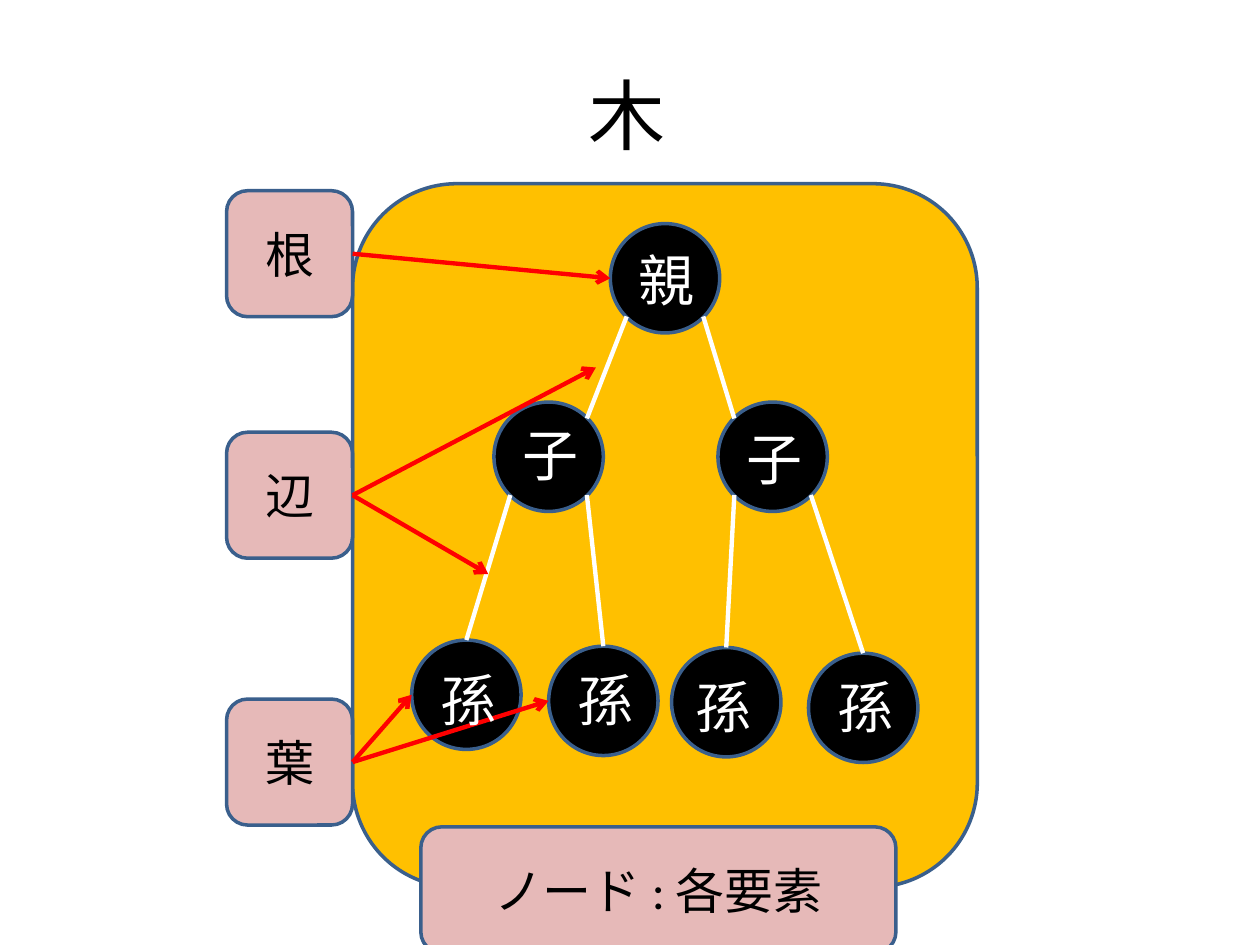
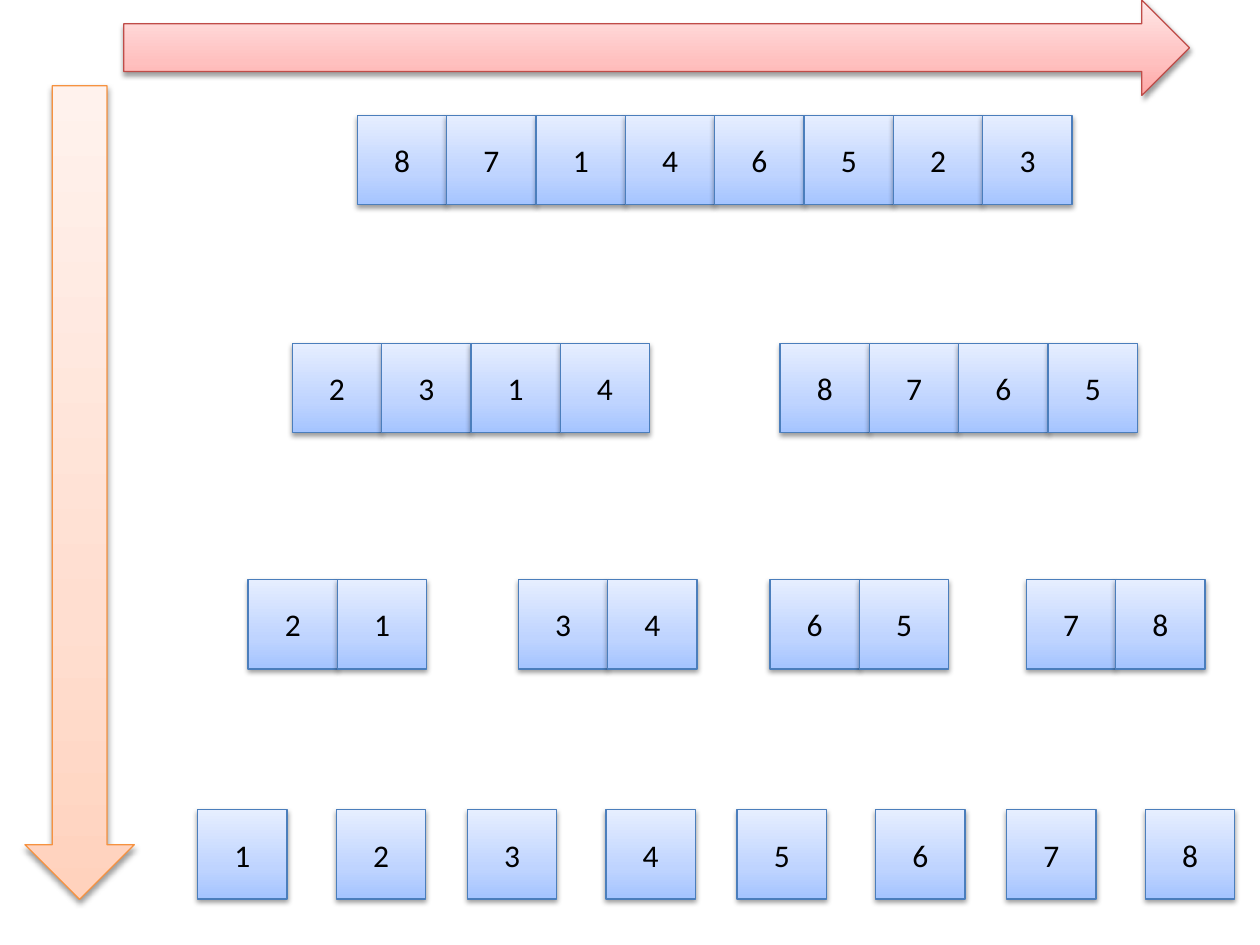
"""Build two slides: the parts of a tree, and a quicksort splitting a list."""
import pptx
import pptx.dml.color
import pptx.enum.shapes
import pptx.enum.text
import pptx.oxml
import pptx.oxml.ns
import pptx.util
from lxml import etree

Pt = pptx.util.Pt
rgb = pptx.dml.color.RGBColor.from_string
qn = pptx.oxml.ns.qn
MSO = pptx.enum.shapes.MSO_SHAPE
ALIGN = pptx.enum.text.PP_ALIGN
ANCHOR = pptx.enum.text.MSO_ANCHOR

BLACK, WHITE, RED, GOLD, PINK, NAVY = "000000", "FFFFFF", "FF0000", "FFC000", "E6B9B8", "3A5F8C"
BLUES = ("A4C4FF", "BFD4FF", "E6EEFF")
ORANGES = ("FFD2BD", "FFDED0", "FFF2ED")
REDS = ("FFA6A5", "FFC0BF", "FFE7E7")
CENTRED = {"align": ALIGN.CENTER, "anchor": ANCHOR.MIDDLE}
TOP_LEFT = {"align": ALIGN.LEFT, "anchor": ANCHOR.TOP}


def add_box(shapes, kind, at, fill=None, line=NAVY, width=2, text="", size=18, color=BLACK, place=CENTRED):
    """Add a preset shape, or a text box if kind is None; three fill colours make a shadowed gradient."""
    at = [Pt(v) for v in at]
    if kind is None:
        sp = shapes.add_textbox(*at)
    else:
        sp = shapes.add_shape(kind, *at)
        sp.shadow.inherit = False
        sp.line.color.rgb = rgb(line)
        sp.line.width = Pt(width)
        spPr = sp._element.spPr
        if isinstance(fill, str):
            sp.fill.solid()
            sp.fill.fore_color.rgb = rgb(fill)
        else:
            sp.fill.gradient()
            grad = spPr.find(qn("a:gradFill"))
            stops = grad.find(qn("a:gsLst"))
            for gs in list(stops):
                stops.remove(gs)
            for pos, stop in zip((0, 35000, 100000), fill):
                gs = etree.SubElement(stops, qn("a:gs"), pos=str(pos))
                etree.SubElement(gs, qn("a:srgbClr"), val=stop)
            grad.find(qn("a:lin")).set("ang", "16200000")
            shadow = etree.SubElement(spPr.find(qn("a:effectLst")), qn("a:outerShdw"),
                                      blurRad=str(Pt(3.1)), dist=str(Pt(1.6)), dir="5400000", rotWithShape="0")
            etree.SubElement(etree.SubElement(shadow, qn("a:srgbClr"), val=BLACK), qn("a:alpha"), val="38000")
    if text:
        tf = sp.text_frame
        tf.word_wrap = True
        tf.vertical_anchor = place["anchor"]
        p = tf.paragraphs[0]
        p.alignment = place["align"]
        r = p.add_run()
        r.text = text
        for name, value in {"name": "Calibri", "size": Pt(size)}.items():
            setattr(r.font, name, value)
        r.font.color.rgb = rgb(color)
    return sp


def add_line(shapes, start, end, color, arrow=False):
    """Add a straight connector, with an open arrowhead at its end if asked."""
    c = shapes.add_connector(pptx.enum.shapes.MSO_CONNECTOR.STRAIGHT, *[Pt(v) for v in (*start, *end)])
    c.line.color.rgb = rgb(color)
    c.line.width = Pt(2.5)
    if arrow:
        etree.SubElement(c._element.spPr.find(qn("a:ln")), qn("a:tailEnd"), type="arrow")
    etree.SubElement(c._element.spPr, qn("a:effectLst"))
    return c


prs = pptx.Presentation()
prs.slide_width, prs.slide_height = Pt(720), Pt(540)
blank = prs.slide_layouts[6]

s = prs.slides.add_slide(blank)
add_box(s.shapes, None, (34.5, 20, 648, 90), text="木", size=44)
add_box(s.shapes, MSO.ROUNDED_RECTANGLE, (201.5, 105, 357, 402), GOLD)

DIAMETER = 62.5
nodes = {
    "root": (348.75, 127.75, "親", 358, 137),
    "left": (282.25, 229.75, "子", 291.5, 237),
    "right": (410.25, 229.75, "子", 419.75, 239),
    "leaf1": (235.25, 365.75, "孫", 244.5, 376.5),
    "leaf2": (313.5, 369.25, "孫", 322.75, 377),
    "leaf3": (383.75, 370, "孫", 390.5, 381),
    "leaf4": (462, 373.25, "孫", 471.5, 381),
}
circles = {name: add_box(s.shapes, MSO.OVAL, (x, y, DIAMETER, DIAMETER), BLACK)
           for name, (x, y, *_) in nodes.items()}

NEAR, FAR = 0.15 * DIAMETER, 0.85 * DIAMETER
for parent, child, out, into in (("root", "left", NEAR, (FAR, NEAR)), ("root", "right", FAR, (NEAR, NEAR)),
                                 ("left", "leaf1", NEAR, None), ("left", "leaf2", FAR, None),
                                 ("right", "leaf3", NEAR, None), ("right", "leaf4", FAR, None)):
    px, py = nodes[parent][:2]
    cx, cy = nodes[child][:2]
    dx, dy = into or (DIAMETER / 2, 0)
    edge = add_line(s.shapes, (px + out, py + FAR), (cx + dx, cy + dy), WHITE)
    if into is None:
        edge.end_connect(circles[child], 0)

LABEL_X, LABEL = 129.5, 72
add_box(s.shapes, MSO.ROUNDED_RECTANGLE, (240.5, 472.5, 271.5, LABEL), PINK, text="ノード : 各要素", size=28)
left_sides = {name: (x, y + DIAMETER / 2) for name, (x, y, *_) in nodes.items()}
for text, y, targets in (("根", 109, [left_sides["root"]]),
                         ("辺", 247, [(340.5, 210), (279, 328)]),
                         ("葉", 399.5, [left_sides["leaf1"], left_sides["leaf2"]])):
    label = add_box(s.shapes, MSO.ROUNDED_RECTANGLE, (LABEL_X, y, LABEL, LABEL), PINK, text=text, size=28)
    for target in targets:
        arrow = add_line(s.shapes, (LABEL_X + LABEL, y + LABEL / 2), target, RED, arrow=True)
        arrow.begin_connect(label, 3)

for _, _, text, x, y in nodes.values():
    add_box(s.shapes, None, (x, y, 44, 46), text=text, size=32, color=WHITE, place=TOP_LEFT)

s = prs.slides.add_slide(blank)
CELL = 51.05
singles = [(113 + 154.1 * (i // 2) + 79.2 * (i % 2), str(i + 1)) for i in range(8)]
for y, lists in ((66, [(204.25, "87146523")]),
                 (196.25, [(167, "2314"), (445.75, "8765")]),
                 (331.25, [(141.75, "21"), (296.25, "34"), (440, "65"), (586.5, "78")]),
                 (462.75, singles)):
    for x, digits in lists:
        group = s.shapes.add_group_shape()
        for i, digit in enumerate(digits):
            add_box(group.shapes, MSO.RECTANGLE, (x + i * CELL, y, CELL, CELL), BLUES, "4B7EBC", 0.75, digit)

add_box(s.shapes, MSO.DOWN_ARROW, (14.25, 49, 62.5, 465), ORANGES, "F69240", 0.75)
add_box(s.shapes, MSO.RIGHT_ARROW, (70.75, 0, 609, 54.5), REDS, "BF4C48", 0.75)

prs.save("out.pptx")
